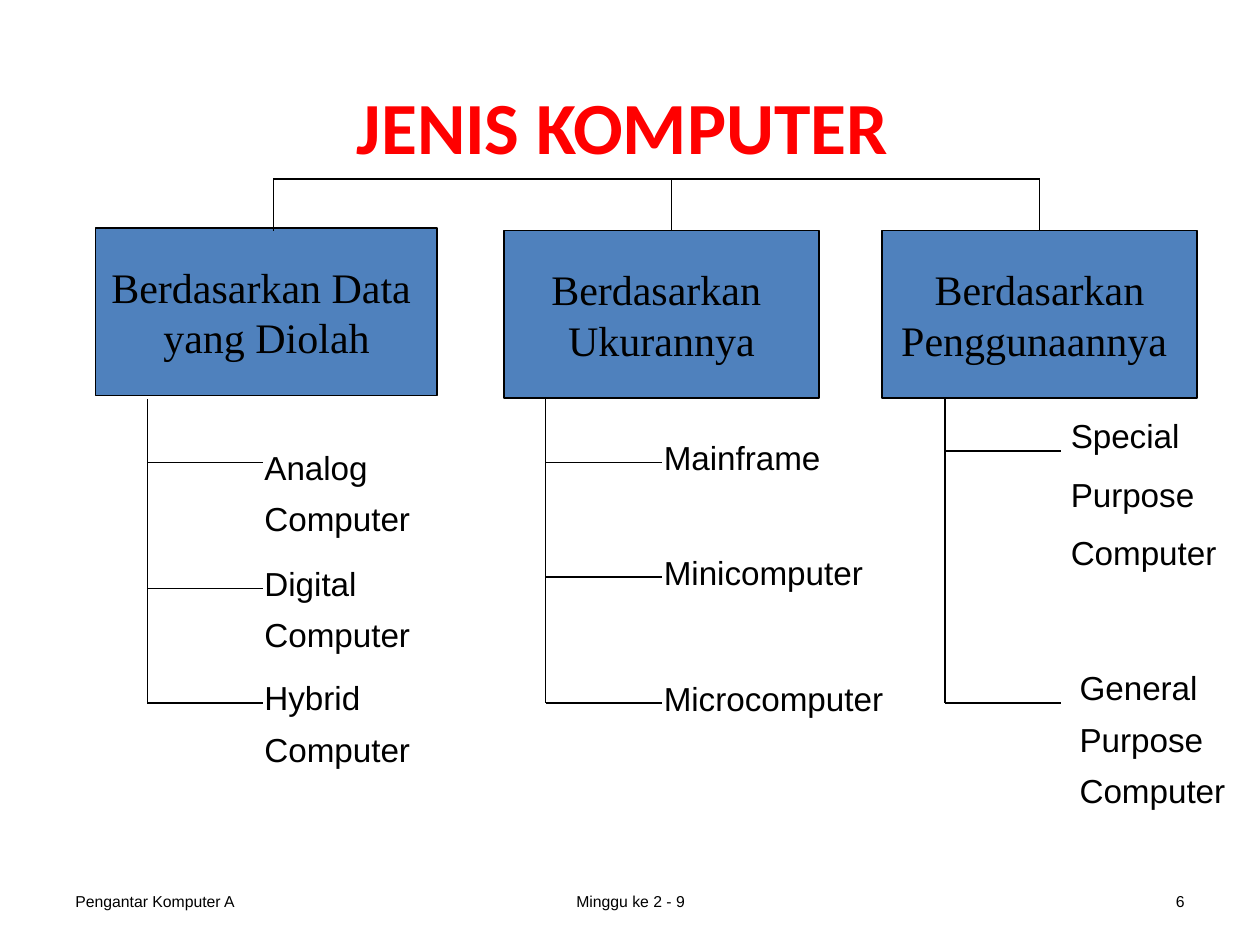
from dataclasses import dataclass

import pptx
import pptx.dml.color
import pptx.enum.shapes
import pptx.enum.text
import pptx.oxml.ns
import pptx.util
from lxml import etree

Inches = pptx.util.Inches
Pt = pptx.util.Pt
RGB = pptx.dml.color.RGBColor
ALIGN = pptx.enum.text.PP_ALIGN
ANCHOR = pptx.enum.text.MSO_ANCHOR


@dataclass(frozen=True)
class Style:
    font: str
    size: float
    color: RGB
    bold: bool = False


@dataclass(frozen=True)
class Theme:
    ink: RGB = RGB(0, 0, 0)
    box_fill: RGB = RGB(0x4F, 0x81, 0xBD)
    line_width: float = 0.75
    title: Style = Style("Calibri", 42, RGB(255, 0, 0), True)
    category: Style = Style("Times New Roman", 24, RGB(0, 0, 0))
    item: Style = Style("Arial", 19, RGB(0, 0, 0))
    footer: Style = Style("Arial", 9, RGB(0, 0, 0))


@dataclass(frozen=True)
class Area:
    left: float
    top: float
    width: float
    height: float

    def lengths(self) -> list[int]:
        return [Inches(v) for v in (self.left, self.top, self.width, self.height)]


@dataclass(frozen=True)
class Item:
    lines: list[str]
    area: Area
    branch_y: float
    gap: float = 6.6
    wrap: bool = False


@dataclass(frozen=True)
class Category:
    lines: list[str]
    area: Area
    drop_x: float
    trunk_x: float
    items: list[Item]


THEME = Theme()
BUS_Y, BOX_TOP, TRUNK_TOP, BRANCH = 1.42, 1.83, 3.17, 0.92

CATEGORIES = [
    Category(["Berdasarkan Data ", "yang Diolah"], Area(0.76, 1.81, 2.71, 1.33), 2.17, 1.17, [
        Item(["Analog", "Computer"], Area(2, 3.5, 1.38, 0.84), 3.67),
        Item(["Digital", "Computer"], Area(2, 4.42, 1.38, 0.84), 4.67),
        Item(["Hybrid", "Computer"], Area(2, 5.33, 1.38, 0.84), 5.58),
    ]),
    Category(["Berdasarkan ", "Ukurannya"], Area(4, BOX_TOP, 2.5, 1.33), 5.33, 4.33, [
        Item(["Mainframe"], Area(5.17, 3.42, 1.47, 0.42), 3.67),
        Item(["Minicomputer"], Area(5.17, 4.33, 1.81, 0.42), 4.58),
        Item(["Microcomputer"], Area(5.17, 5.33, 1.97, 0.42), 5.58),
    ]),
    Category(["Berdasarkan", "Penggunaannya "], Area(7, BOX_TOP, 2.5, 1.33), 8.25, 7.5, [
        Item(["Special", "Purpose", "Computer"], Area(8.4, 3.25, 1.6, 1.86), 3.58, 10.6, True),
        Item(["General", "Purpose", "Computer"], Area(8.47, 5.25, 1.6, 1.25), 5.58, wrap=True),
    ]),
]

FOOTERS = [
    ("Pengantar Komputer A", Area(0.5, 6.95, 2.33, 0.4), ALIGN.LEFT),
    ("Minggu ke 2 - 9", Area(3.42, 6.95, 3.17, 0.4), ALIGN.CENTER),
    ("6", Area(7.17, 6.95, 2.33, 0.4), ALIGN.RIGHT),
]


def write(shape, lines: list[str], style: Style, align=ALIGN.LEFT,
          anchor=ANCHOR.TOP, gap: float = 0, wrap: bool = True) -> None:
    """Fill a shape with one paragraph per line, gap points apart."""
    frame = shape.text_frame
    frame.word_wrap = wrap
    frame.vertical_anchor = anchor
    for index, line in enumerate(lines):
        paragraph = frame.add_paragraph() if index else frame.paragraphs[0]
        paragraph.text = line
        paragraph.alignment = align
        if index and gap:
            paragraph.space_before = Pt(gap)
        font = paragraph.font
        font.name, font.size, font.bold = style.font, Pt(style.size), style.bold
        font.color.rgb = style.color


def add_text(slide, area: Area, lines: list[str], style: Style, **options) -> None:
    write(slide.shapes.add_textbox(*area.lengths()), lines, style, **options)


def add_line(slide, x1: float, y1: float, x2: float, y2: float) -> None:
    line = slide.shapes.add_connector(
        pptx.enum.shapes.MSO_CONNECTOR.STRAIGHT, *[Inches(v) for v in (x1, y1, x2, y2)])
    line.line.color.rgb = THEME.ink
    line.line.width = Pt(THEME.line_width)
    etree.SubElement(line._element.spPr, pptx.oxml.ns.qn("a:effectLst"))


def add_category(slide, category: Category) -> None:
    """Draw a category box, its drop from the bus, and its branching items."""
    box = slide.shapes.add_shape(
        pptx.enum.shapes.MSO_SHAPE.RECTANGLE, *category.area.lengths())
    box.shadow.inherit = False
    box.fill.solid()
    box.fill.fore_color.rgb = THEME.box_fill
    box.line.color.rgb = THEME.ink
    box.line.width = Pt(THEME.line_width)
    write(box, category.lines, THEME.category, ALIGN.CENTER, ANCHOR.MIDDLE, wrap=False)

    add_line(slide, category.drop_x, BUS_Y, category.drop_x, BOX_TOP)
    x = category.trunk_x
    add_line(slide, x, TRUNK_TOP, x, category.items[-1].branch_y)
    for item in category.items:
        add_line(slide, x, item.branch_y, x + BRANCH, item.branch_y)
        add_text(slide, item.area, item.lines, THEME.item, gap=item.gap, wrap=item.wrap)


def main() -> None:
    deck = pptx.Presentation()
    deck.slide_width, deck.slide_height = Inches(10), Inches(7.5)
    slide = deck.slides.add_slide(deck.slide_layouts[6])

    for text, area, align in FOOTERS:
        add_text(slide, area, [text], THEME.footer, align=align, anchor=ANCHOR.MIDDLE)
    add_text(slide, Area(1, 0.58, 7.88, 0.83), ["JENIS KOMPUTER"], THEME.title,
             align=ALIGN.CENTER, anchor=ANCHOR.MIDDLE)
    add_line(slide, CATEGORIES[0].drop_x, BUS_Y, CATEGORIES[-1].drop_x, BUS_Y)
    for category in CATEGORIES:
        add_category(slide, category)

    deck.save("out.pptx")


if __name__ == "__main__":
    main()
